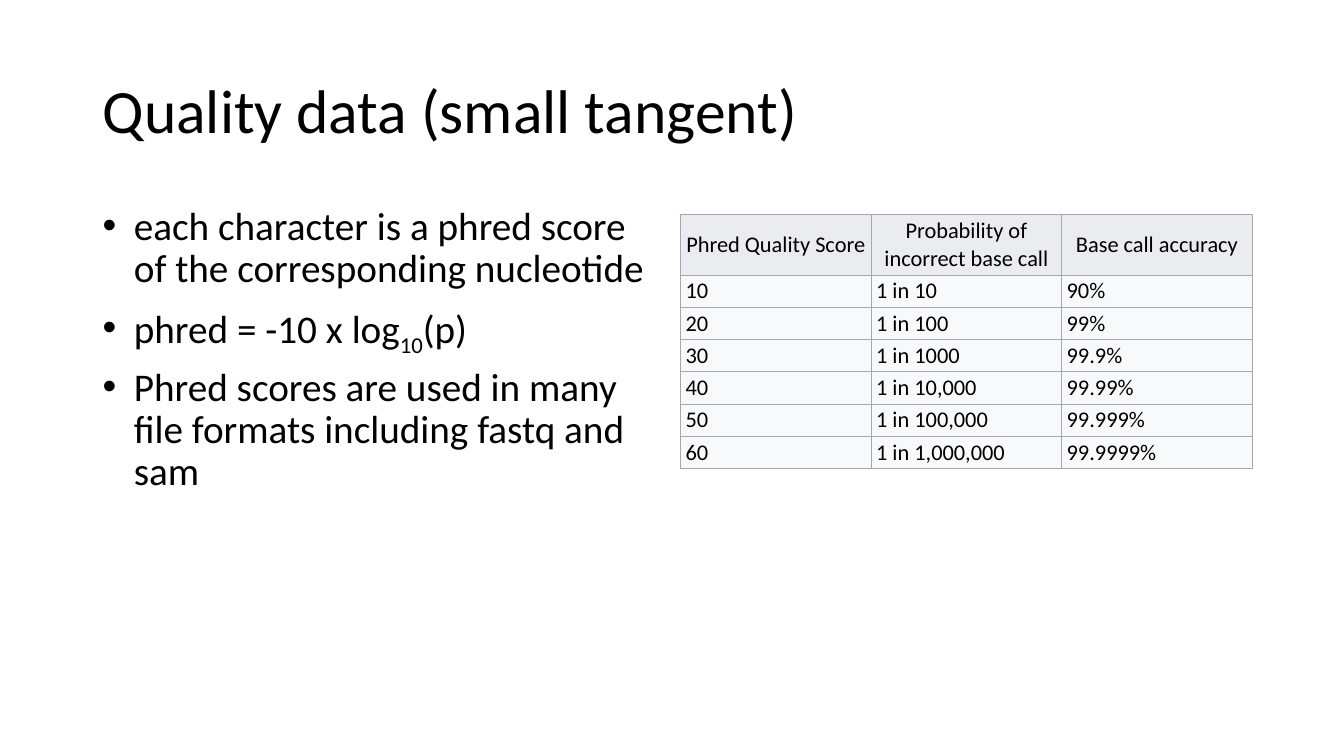
"""Build a slide on phred quality scores with bullets and a score table."""
from lxml import etree
from pptx import Presentation
from pptx.dml.color import RGBColor
from pptx.enum.text import MSO_ANCHOR, PP_ALIGN
from pptx.oxml.ns import qn
from pptx.util import Inches, Pt

MIDDLE, TOP = MSO_ANCHOR.MIDDLE, MSO_ANCHOR.TOP
LEFT, CENTER = PP_ALIGN.LEFT, PP_ALIGN.CENTER
MARGIN, COLUMN, TABLE_LEFT = Inches(0.92), Inches(5.67), Inches(6.75)
HEADER_HEIGHT, ROW_HEIGHT = Inches(0.6), Inches(0.32)
BULLET_INDENT = Inches(0.31)
CELL_FORMAT = {
    "vertical_anchor": MIDDLE,
    "margin_left": Inches(0.05), "margin_right": Inches(0.05),
    "margin_top": Inches(0.02), "margin_bottom": Inches(0.02),
}


def color(hex_value):
    """Turn a hex string into a colour."""
    return RGBColor.from_string(hex_value)


def add_text(paragraph, text, size):
    """Add a run in the slide's font and return it."""
    run = paragraph.add_run()
    run.text = text
    for name, value in {"name": "Calibri", "size": Pt(size)}.items():
        setattr(run.font, name, value)
    run.font.color.rgb = color("000000")
    return run


deck = Presentation()
deck.slide_width, deck.slide_height = Inches(13.33), Inches(7.5)
slide = deck.slides.add_slide(deck.slide_layouts[6])

title = slide.shapes.add_textbox(MARGIN, Inches(0.4), Inches(11.5), Inches(1.45)).text_frame
points = slide.shapes.add_textbox(MARGIN, Inches(2), COLUMN, Inches(2.93)).text_frame
for frame, anchor in ((title, MIDDLE), (points, TOP)):
    frame.word_wrap = True
    frame.vertical_anchor = anchor

title.paragraphs[0].line_spacing = 0.9
add_text(title.paragraphs[0], "Quality data (small tangent)", 44)

bullets = [
    ["each character is a phred score of the corresponding nucleotide"],
    ["phred = -10 x log", "10", "(p)"],
    ["Phred scores are used in many file formats including fastq and sam"],
]
for index, parts in enumerate(bullets):
    point = points.add_paragraph() if index else points.paragraphs[0]
    for name, value in {"line_spacing": 0.9, "space_before": Pt(10)}.items():
        setattr(point, name, value)
    layout = point._p.get_or_add_pPr()
    layout.set("marL", str(BULLET_INDENT))
    layout.set("indent", str(-BULLET_INDENT))
    etree.SubElement(layout, qn("a:buFont"), typeface="Arial")
    etree.SubElement(layout, qn("a:buChar"), char="•")
    for part in parts:
        run = add_text(point, part, 28)
        if part == "10":
            run.font._element.set("baseline", "-25000")

scores = [("Phred Quality Score", "Probability of incorrect base call", "Base call accuracy")]
odds = ["10", "100", "1000", "10,000", "100,000", "1,000,000"]
accuracies = ["90%", "99%", "99.9%", "99.99%", "99.999%", "99.9999%"]
for step, (odd, accuracy) in enumerate(zip(odds, accuracies), 1):
    scores.append((str(10 * step), f"1 in {odd}", accuracy))

table = slide.shapes.add_table(
    len(scores), len(scores[0]), TABLE_LEFT, Inches(2.13), COLUMN,
    HEADER_HEIGHT + ROW_HEIGHT * (len(scores) - 1),
).table
for row_index, values in enumerate(scores):
    is_header = row_index == 0
    table.rows[row_index].height = HEADER_HEIGHT if is_header else ROW_HEIGHT
    for column_index, value in enumerate(values):
        cell = table.cell(row_index, column_index)
        for name, setting in CELL_FORMAT.items():
            setattr(cell, name, setting)
        for side in ("a:lnL", "a:lnR", "a:lnT", "a:lnB"):
            border = etree.SubElement(cell._tc.get_or_add_tcPr(), qn(side), w=str(Pt(0.75)))
            fill = etree.SubElement(border, qn("a:solidFill"))
            etree.SubElement(fill, qn("a:srgbClr"), val="A2A9B1")
        cell.fill.solid()
        cell.fill.fore_color.rgb = color("EAECF0" if is_header else "F8F9FA")
        entry = cell.text_frame.paragraphs[0]
        entry.alignment = CENTER if is_header else LEFT
        add_text(entry, value, 16).font.bold = False

deck.save("out.pptx")
